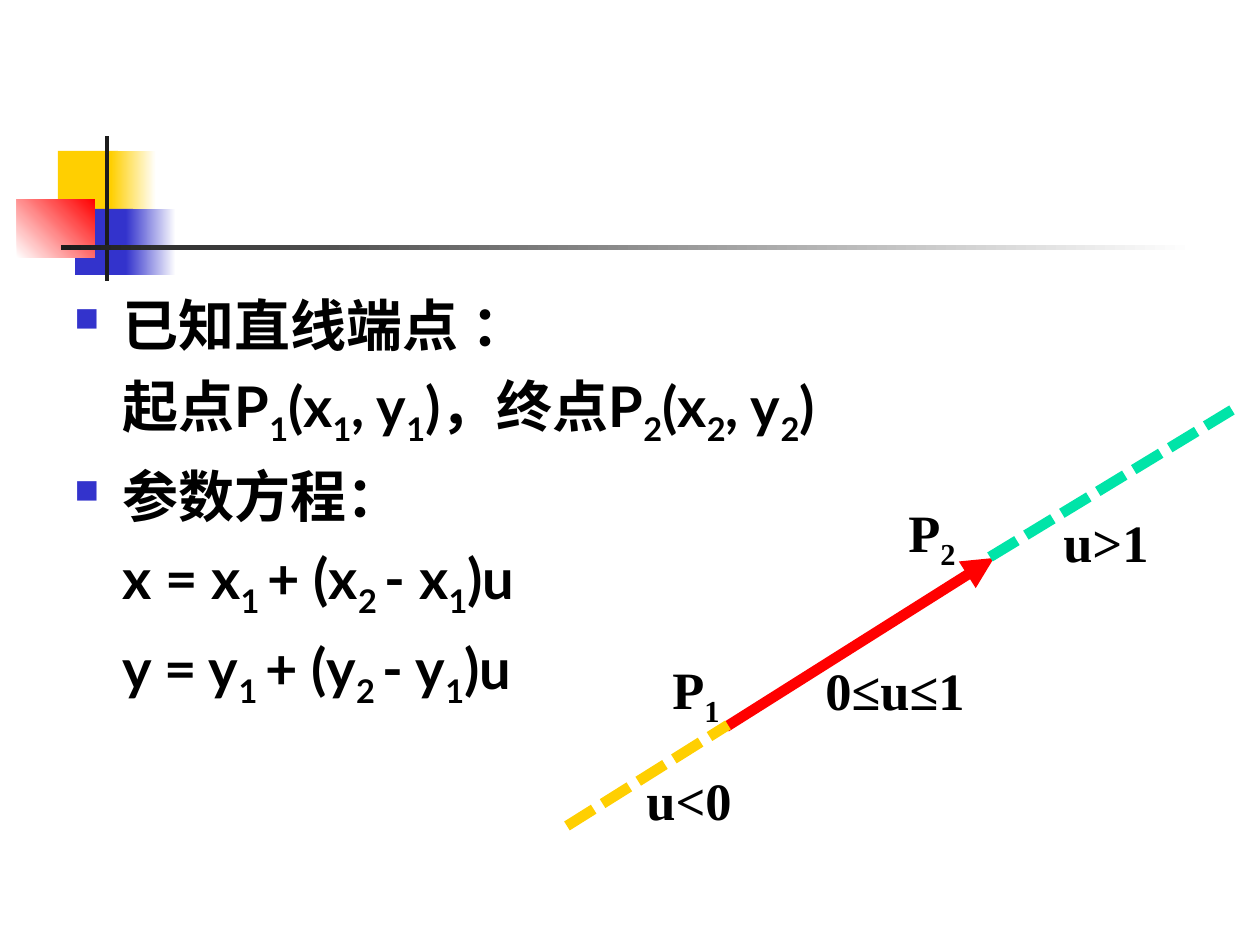
from dataclasses import dataclass

from lxml.etree import SubElement
from pptx import Presentation
from pptx.dml.color import RGBColor
from pptx.enum.dml import MSO_LINE
from pptx.enum.lang import MSO_LANGUAGE_ID
from pptx.enum.shapes import MSO_CONNECTOR, MSO_SHAPE
from pptx.oxml.ns import qn
from pptx.util import Emu, Pt


@dataclass(frozen=True)
class Theme:
    yellow: str = "FFCF01"
    blue: str = "3333CC"
    red: str = "FF0000"
    green: str = "00E4A8"
    dark: str = "1C1C1C"
    white: str = "FFFFFF"
    text: str = "000000"
    body_font: str = "Lato"
    label_font: str = "Times New Roman"
    body_size: int = 32
    label_size: int = 30
    line_width: int = 6
    space_before: int = 8


THEME = Theme()
PX = 914400 // 126
PAGE_SIZE = (1260, 945)

# Ornament: left, top, width, height, colours (two make a gradient), angle
ORNAMENT = [
    (58, 151, 60, 66, [THEME.yellow], 0),
    (111, 151, 45, 66, [THEME.yellow, THEME.white], 0),
    (75, 209, 58, 66, [THEME.blue], 0),
    (126, 209, 50, 66, [THEME.blue, THEME.white], 0),
    (17, 199, 78, 59, [THEME.white, THEME.red], 45),
    (105, 136, 4, 145, [THEME.dark], 0),
    (61, 245, 1134, 5, [THEME.dark, THEME.white], 0),
]

# Body lines: has bullet, text; pieces between "_" marks are subscripts
BODY_BOX = (62, 284, 1094, 469)
BODY_INDENT = 48
BODY = [
    (True, "已知直线端点 ："),
    (False, "起点P_1_(x_1_, y_1_)，终点P_2_(x_2_, y_2_)"),
    (True, "参数方程："),
    (False, "x = x_1 _+ (x_2 _- x_1_)u"),
    (False, "y = y_1 _+ (y_2 _- y_1_)u"),
]

# Diagram: start, end, colour, dotted
LINES = [
    ((726, 727), (994, 558), THEME.red, False),
    ((990, 557), (1232, 410), THEME.green, True),
    ((567, 826), (728, 725), THEME.yellow, True),
]
LABELS = [
    ((660, 651, 110, 84), "P_1"),
    ((896, 494, 110, 84), "P_2"),
    ((634, 762, 126, 76), "u<0"),
    ((813, 652, 365, 76), "0≤u≤1"),
    ((1051, 504, 126, 76), "u>1"),
]


def px(*values):
    return [Emu(value * PX) for value in values]


def rgb(colour):
    return RGBColor.from_string(colour)


def add_ornament(page, left, top, width, height, colours, angle):
    shape = page.shapes.add_shape(MSO_SHAPE.RECTANGLE, *px(left, top, width, height))
    shape.shadow.inherit = False
    shape.line.fill.background()
    if len(colours) == 1:
        shape.fill.solid()
        shape.fill.fore_color.rgb = rgb(colours[0])
        return
    shape.fill.gradient()
    shape.fill.gradient_angle = angle
    for stop, colour in zip(shape.fill.gradient_stops, colours):
        stop.color.rgb = rgb(colour)


def add_text_frame(page, place):
    frame = page.shapes.add_textbox(*px(*place)).text_frame
    frame.word_wrap = True
    return frame


def add_spans(para, text, font, size):
    for index, piece in enumerate(text.split("_")):
        span = para.add_run()
        span.text = piece
        span.font.name = font
        span.font.size = Pt(size)
        span.font.bold = True
        span.font.color.rgb = rgb(THEME.text)
        span.font.language_id = MSO_LANGUAGE_ID.SIMPLIFIED_CHINESE
        if index % 2:
            span.font._element.set("baseline", "-25000")


def set_indent(para, has_bullet):
    properties = para._p.get_or_add_pPr()
    properties.set("marL", str(BODY_INDENT * PX))
    properties.set("indent", str(-BODY_INDENT * PX if has_bullet else 0))
    if has_bullet:
        colour = SubElement(properties, qn("a:buClr"))
        SubElement(colour, qn("a:srgbClr"), val=THEME.blue)
        SubElement(properties, qn("a:buSzPct"), val="60000")
        SubElement(properties, qn("a:buChar"), char="■")


def add_body(page):
    frame = add_text_frame(page, BODY_BOX)
    for index, (has_bullet, text) in enumerate(BODY):
        para = frame.add_paragraph() if index else frame.paragraphs[0]
        set_indent(para, has_bullet)
        if index:
            para.space_before = Pt(THEME.space_before)
        add_spans(para, text, THEME.body_font, THEME.body_size)


def add_line(page, start, end, colour, dotted):
    line = page.shapes.add_connector(MSO_CONNECTOR.STRAIGHT, *px(*start, *end))
    line.line.color.rgb = rgb(colour)
    line.line.width = Pt(THEME.line_width)
    if dotted:
        line.line.dash_style = MSO_LINE.SQUARE_DOT
    else:
        SubElement(line.line._get_or_add_ln(), qn("a:tailEnd"), type="triangle")
    SubElement(line._element.spPr, qn("a:effectLst"))


def main():
    deck = Presentation()
    deck.slide_width, deck.slide_height = px(*PAGE_SIZE)
    page = deck.slides.add_slide(deck.slide_layouts[6])

    # Corner ornament and rule
    for ornament in ORNAMENT:
        add_ornament(page, *ornament)

    # Endpoints and parametric equations
    add_body(page)

    # Line diagram with its labels
    for line in LINES:
        add_line(page, *line)
    for place, text in LABELS:
        para = add_text_frame(page, place).paragraphs[0]
        add_spans(para, text, THEME.label_font, THEME.label_size)

    deck.save("out.pptx")


if __name__ == "__main__":
    main()
